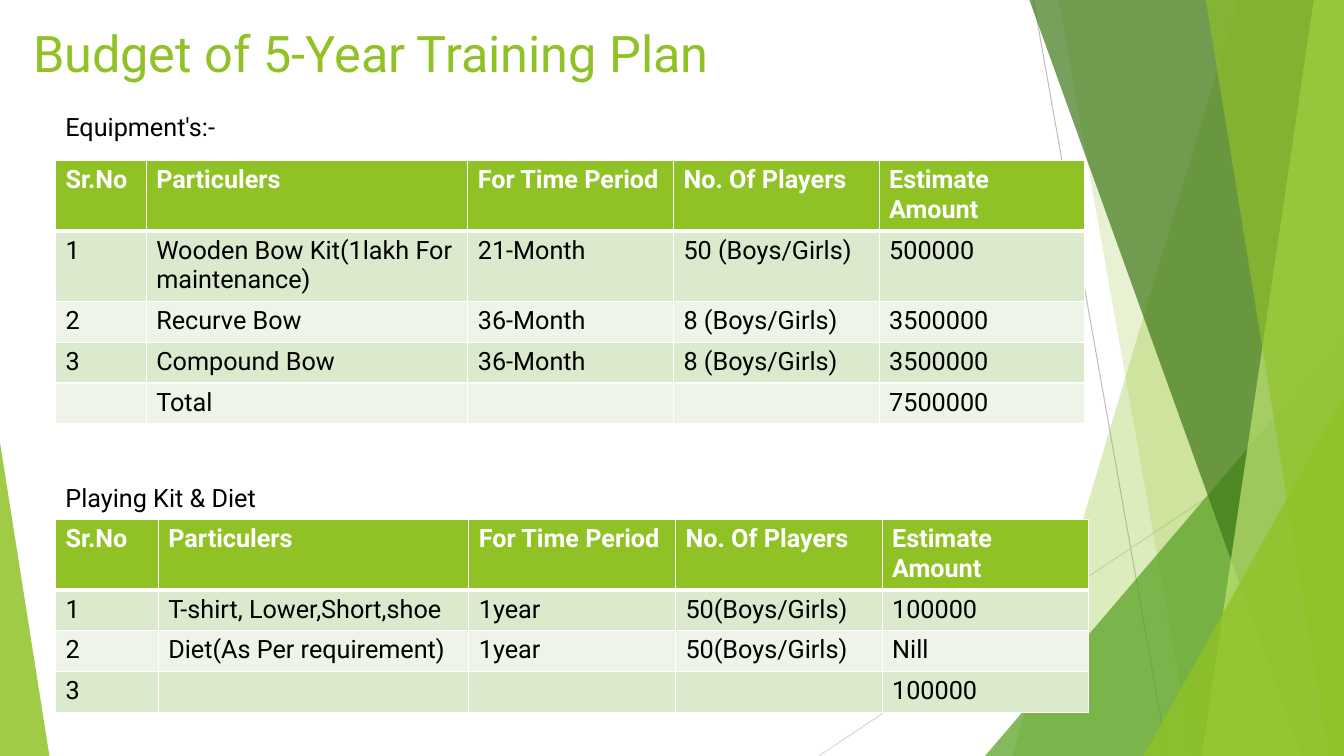
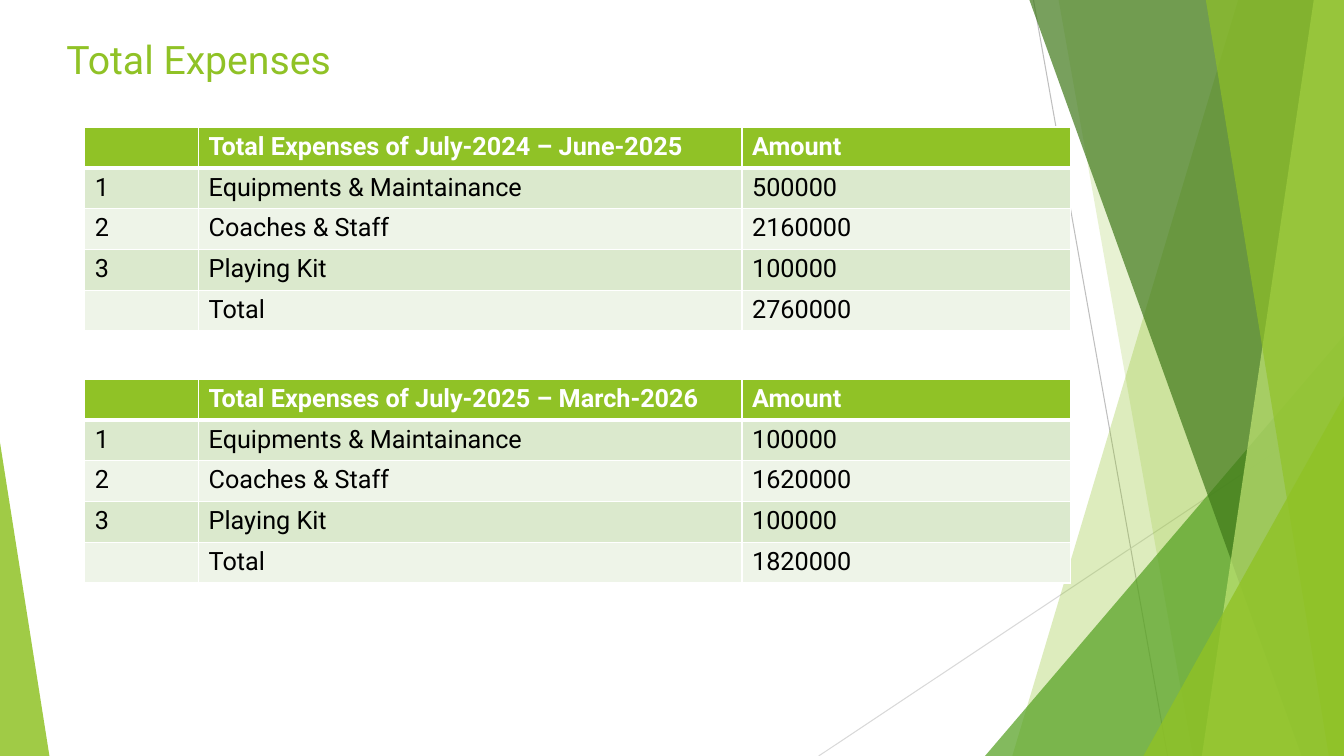
from lxml import etree
from pptx import Presentation
from pptx import util as u
from pptx.dml.color import RGBColor
from pptx.enum import shapes, text
from pptx.oxml import ns

FONT = "Roboto"
WIDE, HIGH = 13.33, 7.5
COLORS = {
    "lime": "90C226", "green": "54A021", "forest": "3F7819", "pale": "C0E474",
    "grey": "BFBFBF", "mist": "D9D9D9", "white": "FFFFFF", "black": "000000",
    "odd": "DBE9CD", "even": "EEF4E8",
}
HEAD = ["Sr.No", "Particulers", "For Time Period", "No. Of Players", "Estimate Amount"]
LINE, PAIR = 0.405, 0.68  # heights of rows with one and two lines of text

GEAR = [
    HEAD,
    ["1", "Wooden Bow Kit(1lakh For maintenance)", "21-Month", "50 (Boys/Girls)", "500000"],
    ["2", "Recurve Bow", "36-Month", "8 (Boys/Girls)", "3500000"],
    ["3", "Compound Bow", "36-Month", "8 (Boys/Girls)", "3500000"],
    ["", "Total", "", "", "7500000"],
]
KIT = [
    HEAD,
    ["1", "T-shirt, Lower,Short,shoe", "1year", "50(Boys/Girls)", "100000"],
    ["2", "Diet(As Per requirement)", "1year", "50(Boys/Girls)", "Nill"],
    ["3", "", "", "", "100000"],
]
COSTS = [
    ("July-2024 – June-2025", ["500000", "2160000", "100000", "2760000"]),
    ("July-2025 – March-2026", ["100000", "1620000", "100000", "1820000"]),
]
ITEMS = [("1", "Equipments & Maintainance"), ("2", "Coaches & Staff"),
         ("3", "Playing Kit"), ("", "Total")]


def rgb(name):
    return RGBColor.from_string(COLORS[name])


def write(frame, words, size=18, color="black", bold=False):
    frame.word_wrap = True
    run = frame.paragraphs[0].add_run()
    run.text = words
    run.font.name, run.font.size, run.font.bold = FONT, u.Pt(size), bold
    run.font.color.rgb = rgb(color)


def label(slide, words, left, top, width, height, **style):
    box = slide.shapes.add_textbox(*map(u.Inches, (left, top, width, height)))
    box.text_frame.vertical_anchor = text.MSO_ANCHOR.TOP
    write(box.text_frame, words, **style)


def title(slide, words, left, top, size):
    label(slide, words, left, top, 9.4, 0.75, size=size, color="lime")


def tint(shape, color, alpha):
    """Fill with a see-through colour, without line or shadow."""
    shape.shadow.inherit = False
    shape.line.fill.background()
    shape.fill.solid()
    shape.fill.fore_color.rgb = rgb(color)
    tone = shape.fill._xPr.find(".//" + ns.qn("a:srgbClr"))
    etree.SubElement(tone, ns.qn("a:alpha"), val=str(alpha * 1000))


def rule(slide, start, end, color):
    ends = map(u.Inches, start + end)
    line = slide.shapes.add_connector(shapes.MSO_CONNECTOR.STRAIGHT, *ends)
    line.line.color.rgb = rgb(color)
    line.line.width = u.Pt(0.75)
    etree.SubElement(line._element.spPr, ns.qn("a:effectLst"))


def panel(slide, top, foot, color, alpha):
    """Full-height panel whose left edge slants from top to foot."""
    path = [(top, 0), (WIDE, 0), (WIDE, HIGH), (foot, HIGH)]
    spots = [(u.Inches(x), u.Inches(y)) for x, y in path]
    form = slide.shapes.build_freeform(*spots[0])
    form.add_line_segments(spots[1:], close=True)
    tint(form.convert_to_shape(), color, alpha)


def wedge(slide, left, top, width, peak, color, alpha):
    """Triangle on the bottom edge; peak is 0 for left, 1 for right."""
    place = map(u.Inches, (left, top, width, HIGH - top))
    shape = slide.shapes.add_shape(shapes.MSO_SHAPE.ISOSCELES_TRIANGLE, *place)
    shape.adjustments[0] = peak
    tint(shape, color, alpha)


def scene(slide):
    rule(slide, (10.25, 0), (11.58, HIGH), "grey")
    rule(slide, (WIDE, 4.03), (8.12, HIGH), "mist")
    panel(slide, 12.28, 10.04, "lime", 30)
    panel(slide, 10.5, 11.83, "lime", 20)
    wedge(slide, 9.77, 3.33, 3.56, 1, "green", 72)
    panel(slide, 10.21, 12.91, "forest", 70)
    panel(slide, 13.03, 11.92, "pale", 70)
    panel(slide, 11.96, 13.18, "lime", 65)
    wedge(slide, 11.34, 3.93, 1.99, 1, "lime", 80)
    wedge(slide, 0, 4.39, 0.49, 0, "lime", 85)


def edge(cell, row):
    """White cell borders, thick between header and body."""
    thick = {0: "B", 1: "T"}.get(row)
    props = cell._tc.get_or_add_tcPr()
    for spot, side in enumerate("LRTB"):
        width = u.Pt(3 if side == thick else 1)
        line = etree.Element(ns.qn("a:ln" + side), w=str(width))
        fill = etree.SubElement(line, ns.qn("a:solidFill"))
        etree.SubElement(fill, ns.qn("a:srgbClr"), val=COLORS["white"])
        props.insert(spot, line)


def table(slide, rows, left, top, cols, highs):
    place = map(u.Inches, (left, top, sum(cols), sum(highs)))
    grid = slide.shapes.add_table(len(rows), len(cols), *place).table
    for col, width in zip(grid.columns, cols):
        col.width = u.Inches(width)
    for r, (row, high) in enumerate(zip(rows, highs)):
        grid.rows[r].height = u.Inches(high)
        back = "lime" if r == 0 else "odd" if r % 2 else "even"
        for c, words in enumerate(row):
            cell = grid.cell(r, c)
            cell.fill.solid()
            cell.fill.fore_color.rgb = rgb(back)
            edge(cell, r)
            if words:
                write(cell.text_frame, words, bold=r == 0,
                      color="black" if r else "white")


def budget(slide):
    title(slide, "Budget of 5-Year Training Plan", 0.23, 0.17, 36)
    table(slide, GEAR, 0.55, 1.59, [0.9, 3.19] + [2.04] * 3, [PAIR] * 2 + [LINE] * 3)
    table(slide, KIT, 0.55, 5.15, [1.02, 3.08] + [2.05] * 3, [PAIR] + [LINE] * 3)
    label(slide, "Playing Kit & Diet", 0.55, 4.74, 6.82, 0.4)
    label(slide, "Equipment's:-", 0.55, 1.06, 4.92, 0.4)


def total(slide):
    title(slide, "Total Expenses", 0.56, 0.3, 28)
    for n, (span, sums) in enumerate(COSTS):
        rows = [["", "Total Expenses of " + span, "Amount"]]
        rows += [[*item, cost] for item, cost in zip(ITEMS, sums)]
        table(slide, rows, 0.84, 1.26 + 2.5 * n, [1.13, 5.39, 3.26], [LINE] * 5)


def main():
    deck = Presentation()
    deck.slide_width, deck.slide_height = u.Inches(WIDE), u.Inches(HIGH)
    for fill in (budget, total):
        slide = deck.slides.add_slide(deck.slide_layouts[6])
        scene(slide)
        fill(slide)
    deck.save("out.pptx")


if __name__ == "__main__":
    main()
